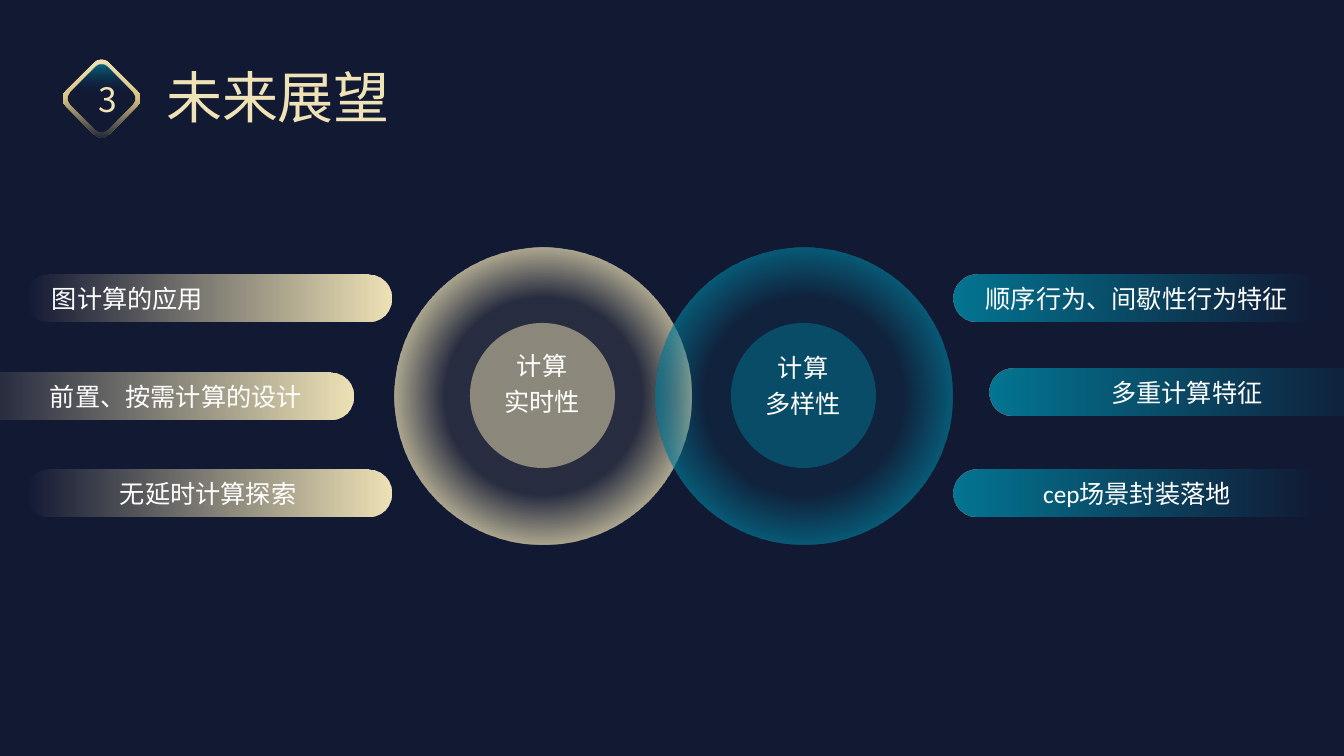
from lxml.etree import SubElement
from pptx import Presentation
from pptx.dml.color import RGBColor
from pptx.enum.shapes import MSO_SHAPE
from pptx.enum.text import MSO_ANCHOR, PP_ALIGN
from pptx.oxml.ns import qn
from pptx.util import Pt

PX = 914400 / 100.8
NAVY = RGBColor(0x12, 0x19, 0x33)
GOLD = RGBColor(0xF0, 0xE4, 0xB7)
SAND = RGBColor(0xD9, 0xC4, 0x85)
CREAM = RGBColor(0xEE, 0xE2, 0xB6)
TEAL = RGBColor(0x04, 0x77, 0x94)
WHITE = RGBColor(0xFF, 0xFF, 0xFF)
SANS = "Noto Sans CJK SC"


def draw(kind, box, stops, angle=None):
    shape = slide.shapes.add_shape(kind, *[round(n * PX) for n in box])
    shape.shadow.inherit = False
    shape.line.fill.background()
    shape.fill.background()
    blank = shape.fill._xPr.find(qn("a:noFill"))
    if len(stops) == 1:
        fill = blank.makeelement(qn("a:solidFill"))
    else:
        fill = blank.makeelement(qn("a:gradFill"), rotWithShape="1")
        bands = SubElement(fill, qn("a:gsLst"))
    for place, color, alpha in stops:
        if len(stops) == 1:
            slot = fill
        else:
            slot = SubElement(bands, qn("a:gs"), pos=str(place * 1000))
        tint = SubElement(slot, qn("a:srgbClr"), val=str(color))
        if alpha < 100:
            SubElement(tint, qn("a:alpha"), val=str(alpha * 1000))
    if len(stops) > 1 and angle is None:
        focus = SubElement(fill, qn("a:path"), path="circle")
        SubElement(focus, qn("a:fillToRect"), l="50000", t="50000", r="50000", b="50000")
    elif len(stops) > 1:
        SubElement(fill, qn("a:lin"), ang=str(angle * 60000), scaled="0")
    blank.getparent().replace(blank, fill)
    return shape


def write(frame, lines, size, color, face, align, space=None):
    frame.word_wrap = True
    frame.text = "\n".join(lines)
    for para in frame.paragraphs:
        para.alignment = align
        para.line_spacing = space
        para.font.size = Pt(size)
        para.font.name = face
        para.font.color.rgb = color


deck = Presentation()
deck.slide_width = round(1344 * PX)
deck.slide_height = round(756 * PX)
slide = deck.slides.add_slide(deck.slide_layouts[5])
slide.background.fill.solid()
slide.background.fill.fore_color.rgb = NAVY

title = slide.shapes.title
title.left, title.top, title.width, title.height = [round(n * PX) for n in (156, 57, 338, 78)]
title.text_frame.vertical_anchor = MSO_ANCHOR.TOP
write(title.text_frame, ["未来展望"], 40, CREAM, SANS, PP_ALIGN.LEFT)

for box, stops in [
    ((71, 68, 61, 61), [(0, GOLD, 100), (49, SAND, 100), (100, NAVY, 100)]),
    ((75, 72, 53, 53), [(0, NAVY, 100)]),
    ((75, 72, 53, 53), [(0, TEAL, 100), (47, NAVY, 0)]),
]:
    badge = draw(MSO_SHAPE.ROUNDED_RECTANGLE, box, stops, 45)
    badge.rotation = 45

labels = [((89, 74, 25, 50), ["3"], 24, GOLD, None)]

for left, top, width, text, color, angle, inset, align in [
    (25, 275, 366, "图计算的应用", GOLD, 180, 20, PP_ALIGN.LEFT),
    (-40, 373, 394, "前置、按需计算的设计", GOLD, 180, 83, PP_ALIGN.LEFT),
    (25, 470, 366, "无延时计算探索", GOLD, 180, 20, PP_ALIGN.CENTER),
    (954, 275, 366, "顺序行为、间歇性行为特征", TEAL, 0, 20, PP_ALIGN.CENTER),
    (990, 369, 394, "多重计算特征", TEAL, 0, 20, PP_ALIGN.CENTER),
    (954, 470, 366, "cep场景封装落地", TEAL, 0, 20, PP_ALIGN.CENTER),
]:
    pill = draw(MSO_SHAPE.ROUNDED_RECTANGLE, (left, top, width, 47),
                [(0, color, 100), (100, color, 0)], angle)
    pill.adjustments[0] = 0.5
    frame = pill.text_frame
    frame.vertical_anchor = MSO_ANCHOR.MIDDLE
    frame.margin_left = round(inset * PX)
    frame.margin_right = round(20 * PX)
    frame.margin_top = frame.margin_bottom = round(10 * PX)
    write(frame, [text], 18, WHITE, "Calibri", align)

for left, top, color, word in [(395, 339, GOLD, "实时性"), (656, 341, TEAL, "多样性")]:
    draw(MSO_SHAPE.OVAL, (left, 248, 296, 296), [(47, color, 10), (71, color, 70)])
    draw(MSO_SHAPE.OVAL, (left + 75, 323, 145, 145), [(0, color, 50)])
    labels.append(((left + 73, top, 148, 84), ["计算", word], 18, WHITE, 1.2))

for box, lines, size, color, space in labels:
    label = slide.shapes.add_textbox(*[round(n * PX) for n in box])
    write(label.text_frame, lines, size, color, SANS, PP_ALIGN.CENTER, space)

deck.save("out.pptx")
